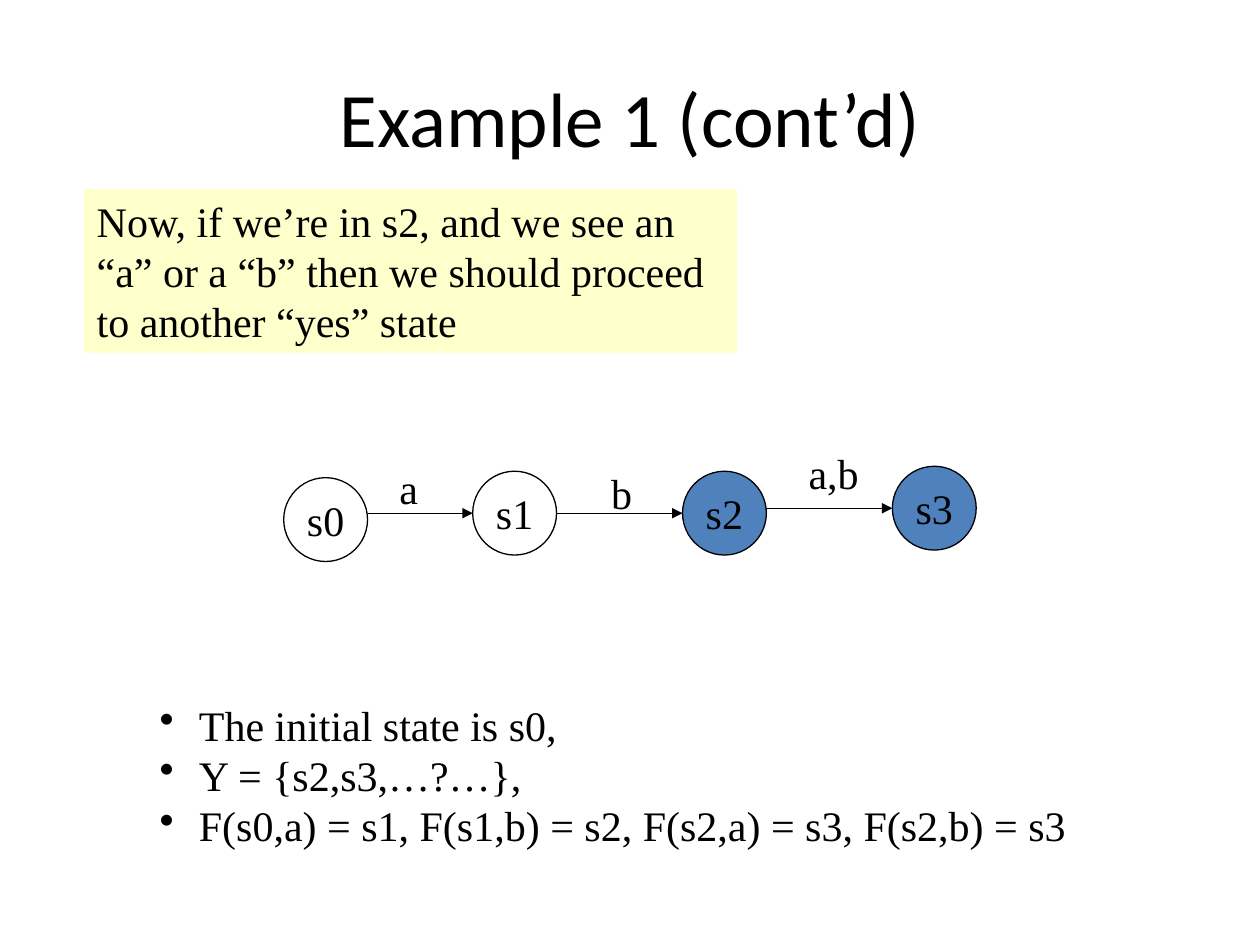
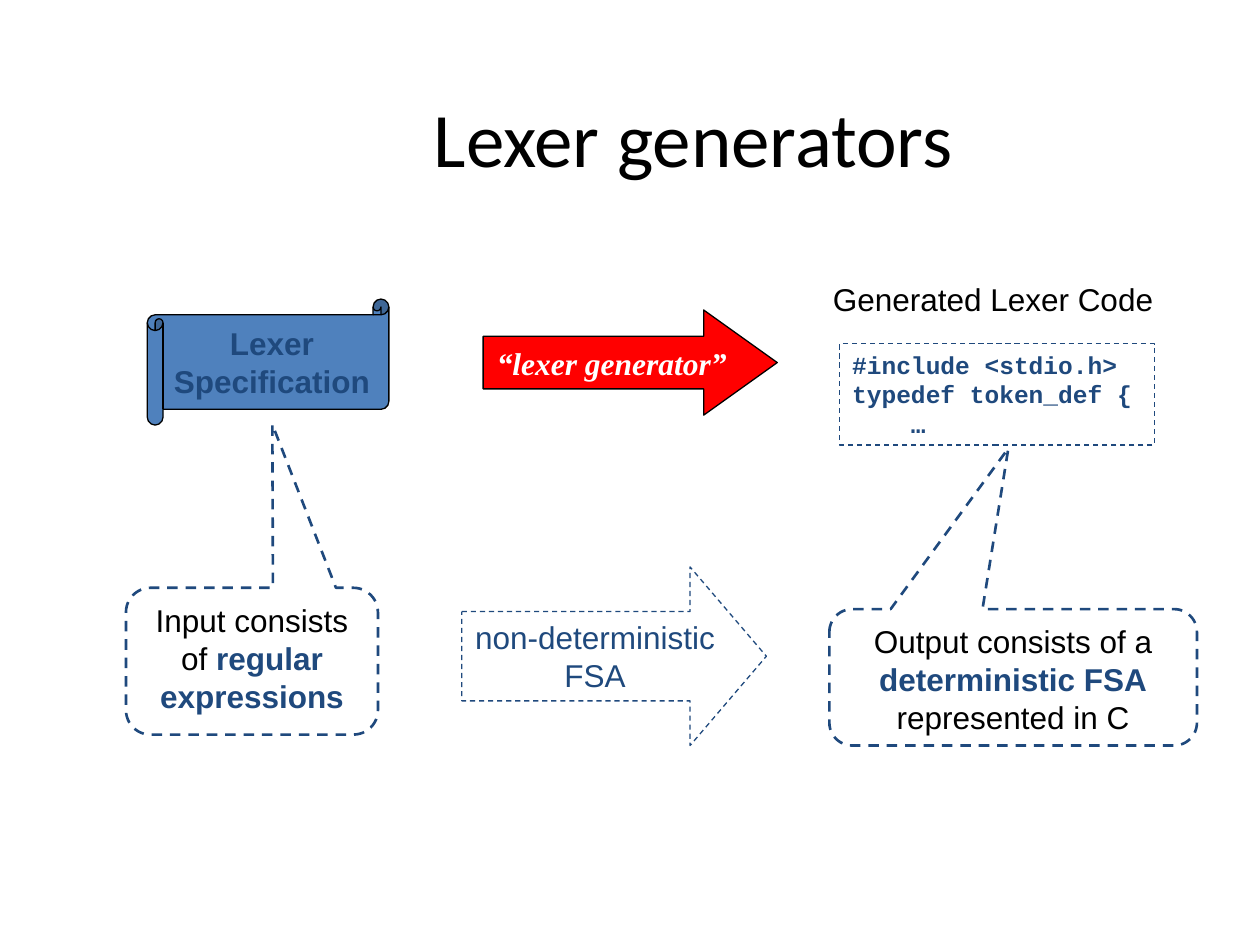
from dataclasses import dataclass

from lxml import etree
from pptx import Presentation
from pptx.dml.color import RGBColor
from pptx.enum import dml, shapes, text
from pptx.oxml.ns import qn
from pptx.util import Cm, Pt

KIND = shapes.MSO_SHAPE


@dataclass(frozen=True)
class Theme:
    black: str = "000000"
    white: str = "FFFFFF"
    cream: str = "FFFFCC"
    blue: str = "4F81BD"
    navy: str = "1F497D"
    red: str = "FF0000"
    head: str = "Calibri"
    serif: str = "Times New Roman"
    sans: str = "Arial"
    mono: str = "Courier New"
    huge: int = 44
    large: int = 24
    mid: int = 18
    small: int = 14
    thin: float = 0.75
    thick: float = 1.5


THEME = Theme()


class Deck:
    def __init__(self, theme):
        self.theme = theme
        self.prs = Presentation()
        self.prs.slide_width, self.prs.slide_height = Cm(25.4), Cm(19.05)
        self.slide = None

    def page(self, title, box):
        self.slide = self.prs.slides.add_slide(self.prs.slide_layouts[6])
        look = self.theme
        self.label(title, box, look.head, look.huge, align="CENTER", wrap=True)

    def letter(self, item, words, font, size, color=None, bold=False,
               italic=False, align="LEFT", middle=True, wrap=False):
        """Fill a shape with lines of text; words between stars are bold navy."""
        color = color or self.theme.black
        frame = item.text_frame
        frame.word_wrap = wrap
        anchor = text.MSO_ANCHOR
        frame.vertical_anchor = anchor.MIDDLE if middle else anchor.TOP
        for i, line in enumerate(words.split("\n")):
            para = frame.paragraphs[0] if i == 0 else frame.add_paragraph()
            para.alignment = text.PP_ALIGN[align]
            for j, part in enumerate(line.split("*")):
                if not part:
                    continue
                run = para.add_run()
                run.text = part
                face, strong = run.font, j % 2 == 1
                face.name, face.size = font, Pt(size)
                face.bold, face.italic = bold or strong, italic
                tint = self.theme.navy if strong else color
                face.color.rgb = RGBColor.from_string(tint)

    def label(self, words, box, font, size, wrap=False, **style):
        item = self.slide.shapes.add_textbox(*map(Cm, box))
        self.letter(item, words, font, size, wrap=wrap, **style)

    def shape(self, kind, box, fill=None, line=None, width=None, dash=False,
              adjust=()):
        item = self.slide.shapes.add_shape(kind, *map(Cm, box))
        item.shadow.inherit = False
        for i, value in enumerate(adjust):
            item.adjustments[i] = value
        if fill:
            item.fill.solid()
            item.fill.fore_color.rgb = RGBColor.from_string(fill)
        else:
            item.fill.background()
        if line:
            item.line.color.rgb = RGBColor.from_string(line)
            item.line.width = Pt(width or self.theme.thin)
            if dash:
                item.line.dash_style = dml.MSO_LINE.DASH
        else:
            item.line.fill.background()
        return item

    def arrow(self, start, end, y):
        item = self.slide.shapes.add_connector(
            shapes.MSO_CONNECTOR.STRAIGHT, Cm(start), Cm(y), Cm(end), Cm(y))
        item.line.color.rgb = RGBColor.from_string(self.theme.black)
        item.line.width = Pt(self.theme.thin)
        props = item._element.spPr
        tip = etree.SubElement(props.find(qn("a:ln")), qn("a:tailEnd"))
        tip.set("type", "triangle")
        etree.SubElement(props, qn("a:effectLst"))

    def state(self, name, x, y, size, final):
        look = self.theme
        fill = look.blue if final else look.white
        item = self.shape(KIND.OVAL, (x, y, size, size), fill, look.black)
        self.letter(item, name, look.serif, look.large, align="CENTER")

    def bullets(self, words, box):
        look = self.theme
        item = self.shape(KIND.RECTANGLE, box, look.white)
        self.letter(item, words, look.serif, look.large, middle=False,
                    wrap=True)
        for para in item.text_frame.paragraphs:
            props = para._p.get_or_add_pPr()
            props.set("marL", str(Cm(0.79)))
            props.set("indent", str(-Cm(0.79)))
            etree.SubElement(props, qn("a:buChar")).set("char", "•")

    def callout(self, words, box, adjust):
        look = self.theme
        item = self.shape(KIND.ROUNDED_RECTANGULAR_CALLOUT, box, look.white,
                          look.navy, look.thick, True, adjust)
        self.letter(item, words, look.sans, look.mid, align="CENTER",
                    middle=False, wrap=True)


def automaton(deck):
    look = deck.theme
    deck.page("Example 1 (cont’d)", (1.27, 0.76, 22.86, 3.18))
    note = deck.shape(KIND.RECTANGLE, (1.7, 3.81, 13.16, 3.3), look.cream)
    deck.letter(note, "Now, if we’re in s2, and we see an “a” or a “b” then we "
                "should proceed to another “yes” state",
                look.serif, look.large, middle=False, wrap=True)

    size = 1.69
    states = [("s0", 5.72, 9.63, False), ("s1", 9.53, 9.5, False),
              ("s2", 13.76, 9.5, True), ("s3", 17.99, 9.4, True)]
    for name, x, y, final in states:
        deck.state(name, x, y, size, final)
    for (_, left, *_), (_, right, top, _) in zip(states, states[1:]):
        deck.arrow(left + size, right, top + size / 2)
    for words, x, y, width in [("a", 7.8, 9.19, 0.89), ("b", 12.07, 9.3, 0.91),
                               ("a,b", 16.05, 8.89, 1.52)]:
        deck.label(words, (x, y, width, 1.27), look.serif, look.large)

    deck.bullets("The initial state is s0,\nY = {s2,s3,…?…},\n"
                 "F(s0,a) = s1, F(s1,b) = s2, F(s2,a) = s3, F(s2,b) = s3",
                 (2.97, 13.97, 19.94, 4.32))


def lexers(deck):
    look = deck.theme
    deck.page("Lexer generators", (4.24, 0.64, 19.48, 4.24))

    scroll = deck.shape(KIND.HORIZONTAL_SCROLL, (2.97, 6.03, 4.87, 2.54),
                        look.blue, look.black, adjust=[0.125])
    deck.letter(scroll, "Lexer\nSpecification", look.sans, look.mid, look.navy,
                bold=True, align="CENTER")

    maker = deck.shape(KIND.RIGHT_ARROW, (9.74, 6.25, 5.93, 2.12),
                       look.red, look.black, adjust=[0.5, 0.7])
    deck.letter(maker, "“lexer generator”", look.serif, look.mid, look.white,
                bold=True, italic=True, align="CENTER")

    code = deck.shape(KIND.RECTANGLE, (16.93, 6.93, 6.35, 2.04),
                      line=look.navy, dash=True)
    deck.letter(code, "#include <stdio.h>\ntypedef token_def {\n    …",
                look.mono, look.small, look.navy, bold=True, middle=False,
                wrap=True)
    deck.label("Generated Lexer Code", (16.54, 5.51, 6.96, 1.02),
               look.sans, look.mid)

    deck.callout("Input consists of *regular expressions*",
                 (2.54, 11.85, 5.08, 2.96), [0.081, -1.613, 0.167])
    deck.callout("Output consists of a *deterministic FSA* represented in C",
                 (16.72, 12.28, 7.41, 2.75), [-0.013, -1.679, 0.167])

    fsa = deck.shape(KIND.RIGHT_ARROW, (9.31, 11.43, 6.14, 3.6), look.white,
                     look.navy, dash=True, adjust=[0.5, 0.427])
    deck.letter(fsa, "non-deterministic\nFSA", look.sans, look.mid, look.navy,
                align="CENTER")


def main():
    deck = Deck(THEME)
    automaton(deck)
    lexers(deck)
    deck.prs.save("out.pptx")


if __name__ == "__main__":
    main()
